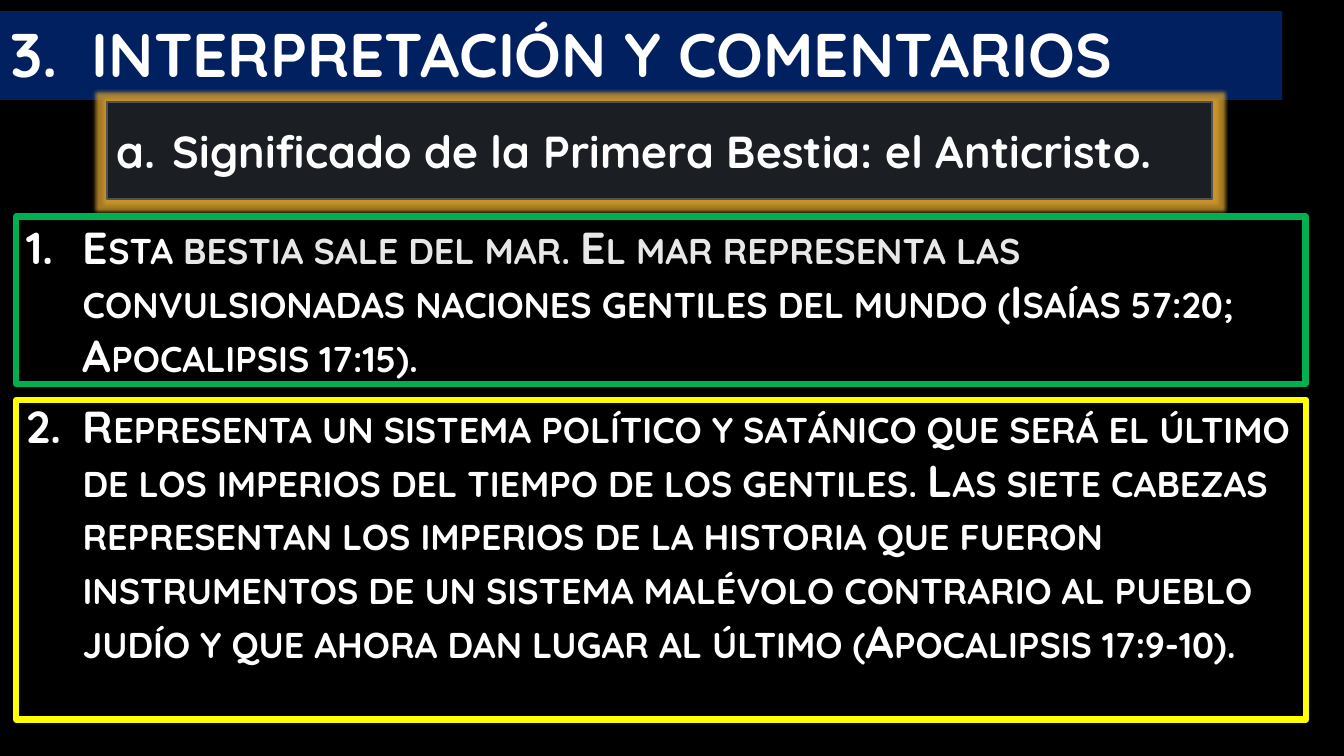
from dataclasses import dataclass

from lxml.etree import SubElement
from pptx import Presentation
from pptx.dml.color import RGBColor
from pptx.enum.shapes import MSO_SHAPE as Preset
from pptx.enum.text import MSO_ANCHOR as Anchor, MSO_AUTO_SIZE as AutoSize, PP_ALIGN as Align
from pptx.oxml import parse_xml
from pptx.oxml.ns import nsdecls, qn
from pptx.util import Cm, Pt

BLACK = RGBColor(0x00, 0x00, 0x00)
WHITE = RGBColor(0xFF, 0xFF, 0xFF)
NAVY = RGBColor(0x00, 0x20, 0x60)
GREEN = RGBColor(0x00, 0xB0, 0x50)
YELLOW = RGBColor(0xFF, 0xFF, 0x00)
CHARCOAL = RGBColor(0x1B, 0x1E, 0x23)
GRAY = RGBColor(0x52, 0x52, 0x52)
LIGHT_GRAY = RGBColor(0xA6, 0xA6, 0xA6)
SILVER = RGBColor(0xBF, 0xBF, 0xBF)
PALE = RGBColor(0xE7, 0xE7, 0xE7)
GOLD = RGBColor(0xD0, 0x9A, 0x2C)


@dataclass(frozen=True)
class Box:
    left: float
    top: float
    width: float
    height: float
    fill: RGBColor | None = None
    line: RGBColor | None = None
    line_width: float = 0


@dataclass(frozen=True)
class ListStyle:
    size: float
    indent: float
    numbering: str
    start: int = 1
    fade: RGBColor | None = None
    small_caps: bool = False
    space_before: float = 0
    space_after: float = 0
    anchor: Anchor = Anchor.TOP


TITLE_BOX = Box(0, 0.28, 32.31, 2.24, fill=NAVY)
BODY_BOX = Box(0.41, 5.41, 32.49, 12.7, fill=BLACK)
SUBTITLE_BOX = Box(2.69, 2.57, 27.86, 2.44, CHARCOAL, GRAY, 1.5)
FRAMES = [
    Box(0.41, 5.46, 32.49, 4.22, line=GREEN, line_width=4.5),
    Box(0.41, 10.08, 32.51, 8.05, line=YELLOW, line_width=4.5),
]

TITLE_STYLE = ListStyle(44, 2.06, "arabicPeriod", start=3, fade=LIGHT_GRAY)
SUBTITLE_STYLE = ListStyle(32, 1.42, "alphaLcPeriod", anchor=Anchor.MIDDLE)
BODY_STYLE = ListStyle(32, 1.42, "arabicPeriod", fade=SILVER, small_caps=True,
                       space_before=6.4, space_after=6)

TITLE = "INTERPRETACIÓN Y COMENTARIOS"
SUBTITLE = "Significado de la Primera Bestia: el Anticristo."
PALE_PHRASE = "bestia sale del mar. El mar representa las "
POINTS = [
    f"Esta {PALE_PHRASE}convulsionadas naciones "
    "gentiles del mundo (Isaías 57:20; Apocalipsis 17:15).",
    "Representa un sistema político y satánico que será el último de los imperios "
    "del tiempo de los gentiles. Las siete cabezas representan los imperios de la "
    "historia que fueron instrumentos de un sistema malévolo contrario al pueblo "
    "judío y que ahora dan lugar al último (Apocalipsis 17:9-10).",
]


def format_box(shape, box: Box) -> None:
    """Place a shape and give it its fill and line."""
    for side in ("left", "top", "width", "height"):
        setattr(shape, side, Cm(getattr(box, side)))
    if box.fill is None:
        shape.fill.background()
    else:
        shape.fill.solid()
        shape.fill.fore_color.rgb = box.fill
    if box.line is None:
        shape.line.fill.background()
    else:
        shape.line.color.rgb = box.line
        shape.line.width = Pt(box.line_width)


def add_box(slide, box: Box):
    shape = slide.shapes.add_shape(Preset.RECTANGLE, 0, 0, 0, 0)
    shape.shadow.inherit = False
    format_box(shape, box)
    return shape


def color_run(run, fade: RGBColor | None) -> None:
    """Colour text pale or white, or let it fade from white."""
    font = run.font
    if run.text == PALE_PHRASE:
        font.color.rgb = PALE
    elif fade is None:
        font.color.rgb = WHITE
    else:
        font.fill.gradient()
        font.fill.gradient_angle = 267
        for stop, color in zip(font.fill.gradient_stops, (WHITE, fade)):
            stop.color.rgb = color


def number_paragraph(paragraph, style: ListStyle) -> None:
    properties = paragraph._p.get_or_add_pPr()
    properties.set("marL", str(Cm(style.indent)))
    properties.set("indent", str(-Cm(style.indent)))
    bullet_color = SubElement(properties, qn("a:buClr"))
    SubElement(bullet_color, qn("a:srgbClr"), val=str(WHITE))
    SubElement(properties, qn("a:buFont"), typeface="+mj-lt")
    SubElement(properties, qn("a:buAutoNum"), type=style.numbering, startAt=str(style.start))


def write_list(shape, items: list[str], style: ListStyle) -> None:
    """Write numbered paragraphs into a shape."""
    frame = shape.text_frame
    frame.text = "\n" * (len(items) - 1)
    frame_format = {"word_wrap": True, "auto_size": AutoSize.NONE,
                    "vertical_anchor": style.anchor}
    paragraph_format = {"alignment": Align.LEFT, "space_before": Pt(style.space_before),
                        "space_after": Pt(style.space_after)}
    font_format = {"name": "Quicksand", "size": Pt(style.size), "bold": True}
    for name, value in frame_format.items():
        setattr(frame, name, value)
    for paragraph, item in zip(frame.paragraphs, items):
        for name, value in paragraph_format.items():
            setattr(paragraph, name, value)
        number_paragraph(paragraph, style)
        for text in filter(None, item.partition(PALE_PHRASE)):
            run = paragraph.add_run()
            run.text = text
            for name, value in font_format.items():
                setattr(run.font, name, value)
            color_run(run, style.fade)
            if style.small_caps:
                run._r.get_or_add_rPr().set("cap", "small")


def add_glow(shape, color: RGBColor, radius: float) -> None:
    effects = shape._element.spPr.find(qn("a:effectLst"))
    effects.append(parse_xml(
        f'<a:glow {nsdecls("a")} rad="{Pt(radius)}"><a:srgbClr val="{color}">'
        '<a:alpha val="80000"/></a:srgbClr></a:glow>'))


def main() -> None:
    presentation = Presentation()
    presentation.slide_width = Cm(33.87)
    presentation.slide_height = Cm(19.05)
    slide = presentation.slides.add_slide(presentation.slide_layouts[1])
    slide.background.fill.solid()
    slide.background.fill.fore_color.rgb = BLACK

    # Title and numbered points
    title, body = slide.placeholders
    format_box(title, TITLE_BOX)
    write_list(title, [TITLE], TITLE_STYLE)
    format_box(body, BODY_BOX)
    write_list(body, POINTS, BODY_STYLE)

    # Coloured frames around the points
    for frame in FRAMES:
        add_box(slide, frame)

    # Glowing subtitle
    subtitle = add_box(slide, SUBTITLE_BOX)
    add_glow(subtitle, GOLD, 5)
    write_list(subtitle, [SUBTITLE], SUBTITLE_STYLE)

    presentation.save("out.pptx")


if __name__ == "__main__":
    main()
